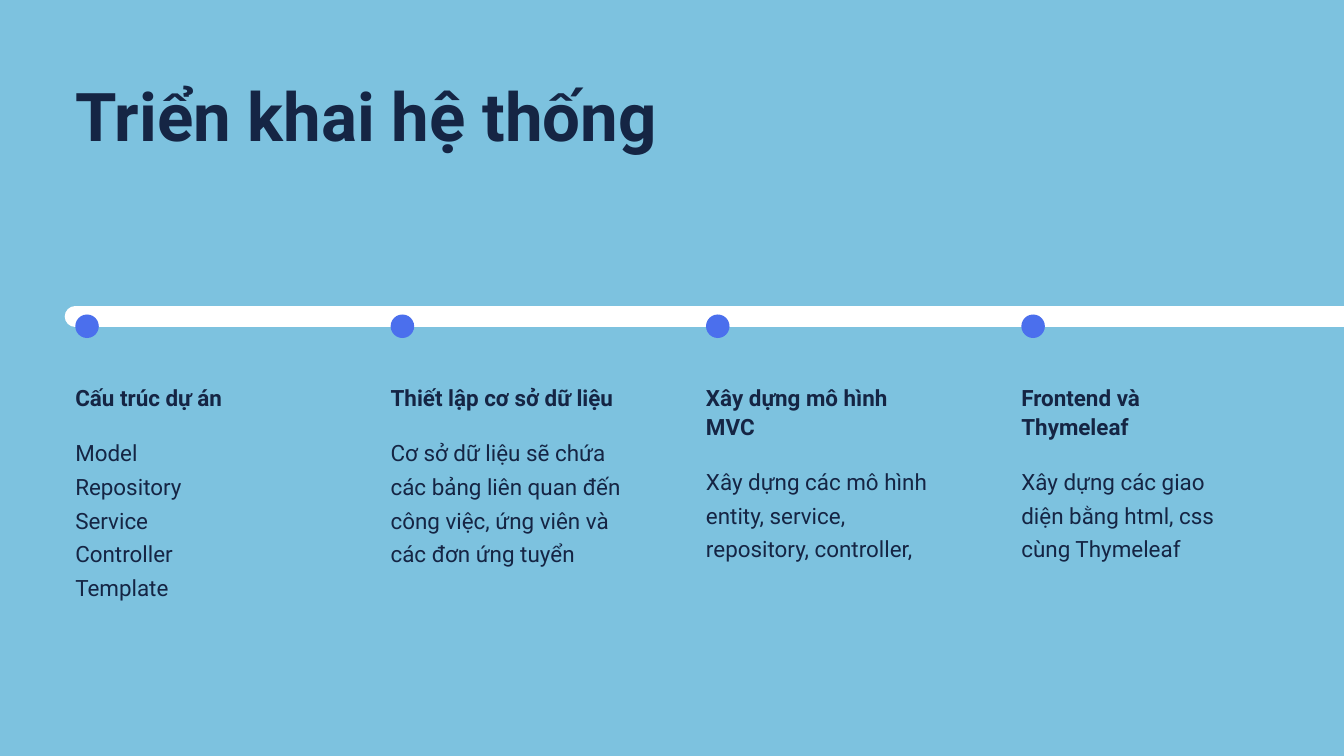
"""Build the system rollout timeline slide."""
from pptx import Presentation
from pptx.dml.color import RGBColor as Rgb
from pptx.enum.shapes import MSO_CONNECTOR as Link, MSO_SHAPE as Kind
from pptx.enum.text import MSO_AUTO_SIZE as Fit
from pptx.oxml import parse_xml
from pptx.oxml.ns import nsdecls, qn
from pptx.util import Inches, Pt

WIDE, HIGH = 20, 11.25
LEFT, STEP = 1.12, 4.693
FONT = "Roboto"
HUES = {"sky": "7DC2DF", "ink": "152544", "bar": "FFFFFF", "dot": "4B6FED"}
STAGES = [
    ("Cấu trúc dự án", 1, 3.39,
     ["Model", "Repository", "Service", "Controller", "Template"], 5),
    ("Thiết lập cơ sở dữ liệu", 1, 3.67,
     ["Cơ sở dữ liệu sẽ chứa các bảng liên quan đến công việc, ứng viên và các đơn ứng tuyển"], 4),
    ("Xây dựng mô hình MVC", 2, 3.39,
     ["Xây dựng các mô hình entity, service, repository, controller,"], 3),
    ("Frontend và Thymeleaf", 2, 3.39,
     ["Xây dựng các giao diện bằng html, css cùng Thymeleaf"], 3),
]


def hue(name):
    """Return the named colour."""
    return Rgb.from_string(HUES[name])


def add_text(slide, left, top, width, rows, lines, size, lead, bold=False):
    """Add a text box that is the given number of rows high."""
    box = slide.shapes.add_textbox(
        Inches(left), Inches(top), Inches(width), Pt(rows * lead))
    frame = box.text_frame
    frame.word_wrap = True
    frame.auto_size = Fit.SHAPE_TO_FIT_TEXT
    frame.margin_left = frame.margin_right = 0
    frame.margin_top = frame.margin_bottom = 0
    for i, line in enumerate(lines):
        para = frame.add_paragraph() if i else frame.paragraphs[0]
        para.line_spacing = Pt(lead)
        run = para.add_run()
        run.text = line
        font = run.font
        font.name, font.size, font.bold = FONT, Pt(size), bold
        font.color.rgb = hue("ink")


def add_bar(slide, top):
    """Add the round-ended bar that runs to the right edge."""
    bar = slide.shapes.add_connector(
        Link.STRAIGHT, Inches(LEFT), Inches(top), Inches(WIDE), Inches(top))
    bar.line.color.rgb = hue("bar")
    bar.line.width = Pt(22.5)
    props = bar.element.spPr
    props.find(qn("a:ln")).set("cap", "rnd")
    props.append(parse_xml(f"<a:effectLst {nsdecls('a')}/>"))


def add_dot(slide, left, top, size):
    """Add a round stage mark."""
    dot = slide.shapes.add_shape(
        Kind.OVAL, Inches(left), Inches(top), Inches(size), Inches(size))
    dot.shadow.inherit = False
    dot.fill.solid()
    dot.fill.fore_color.rgb = hue("dot")
    dot.line.fill.background()


def add_stage(slide, col, head, deep, width, body, rows):
    """Add one timeline column with its mark, heading and body."""
    left = LEFT + col * STEP
    add_dot(slide, left, 4.68, 0.35)
    add_text(slide, left, 5.68, width, deep, [head], 24, 31.2, True)
    add_text(slide, left, 6.01 + 0.43 * deep, width, rows, body, 24, 36)


def main():
    """Build and save the slide."""
    deck = Presentation()
    deck.slide_width, deck.slide_height = Inches(WIDE), Inches(HIGH)
    slide = deck.slides.add_slide(deck.slide_layouts[6])
    slide.background.fill.solid()
    slide.background.fill.fore_color.rgb = hue("sky")
    add_text(slide, LEFT, 1.11, 14.26, 1, ["Triển khai hệ thống"], 72, 86.4, True)
    add_bar(slide, 4.71)
    for col, stage in enumerate(STAGES):
        add_stage(slide, col, *stage)
    deck.save("out.pptx")


if __name__ == "__main__":
    main()
